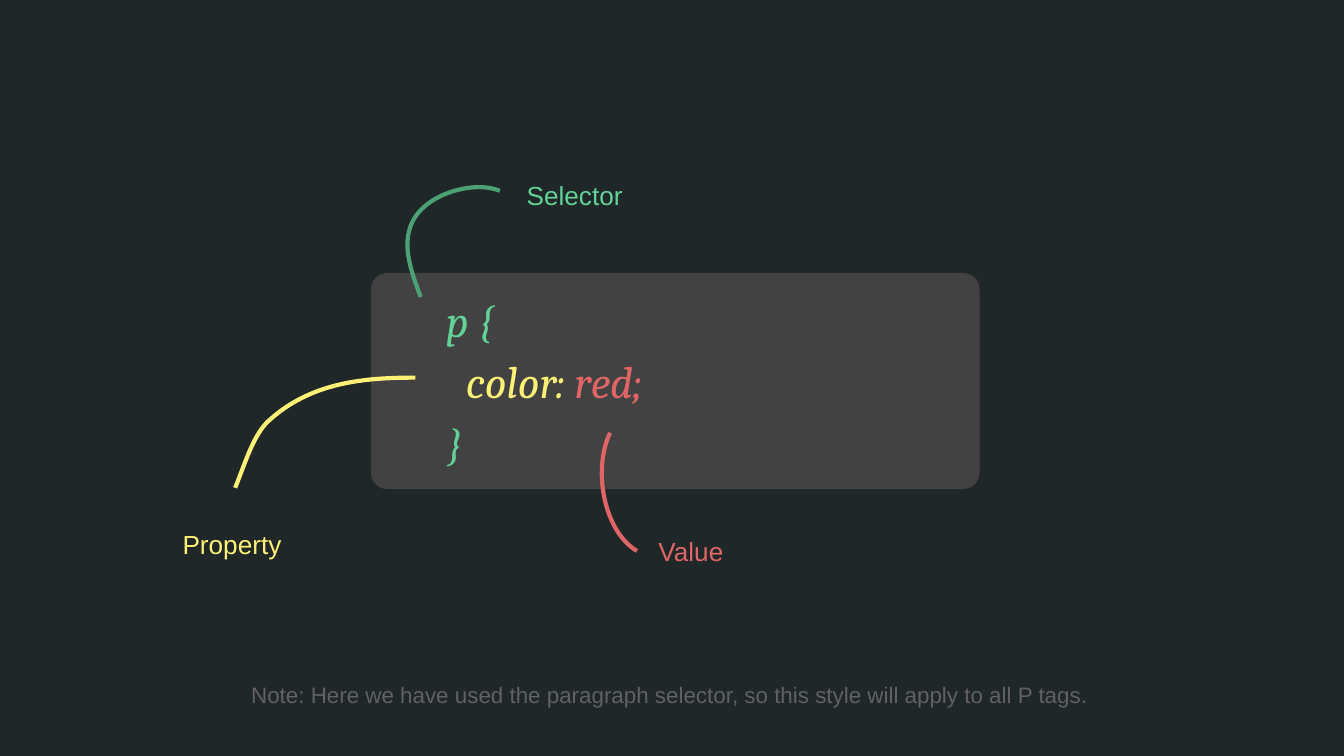
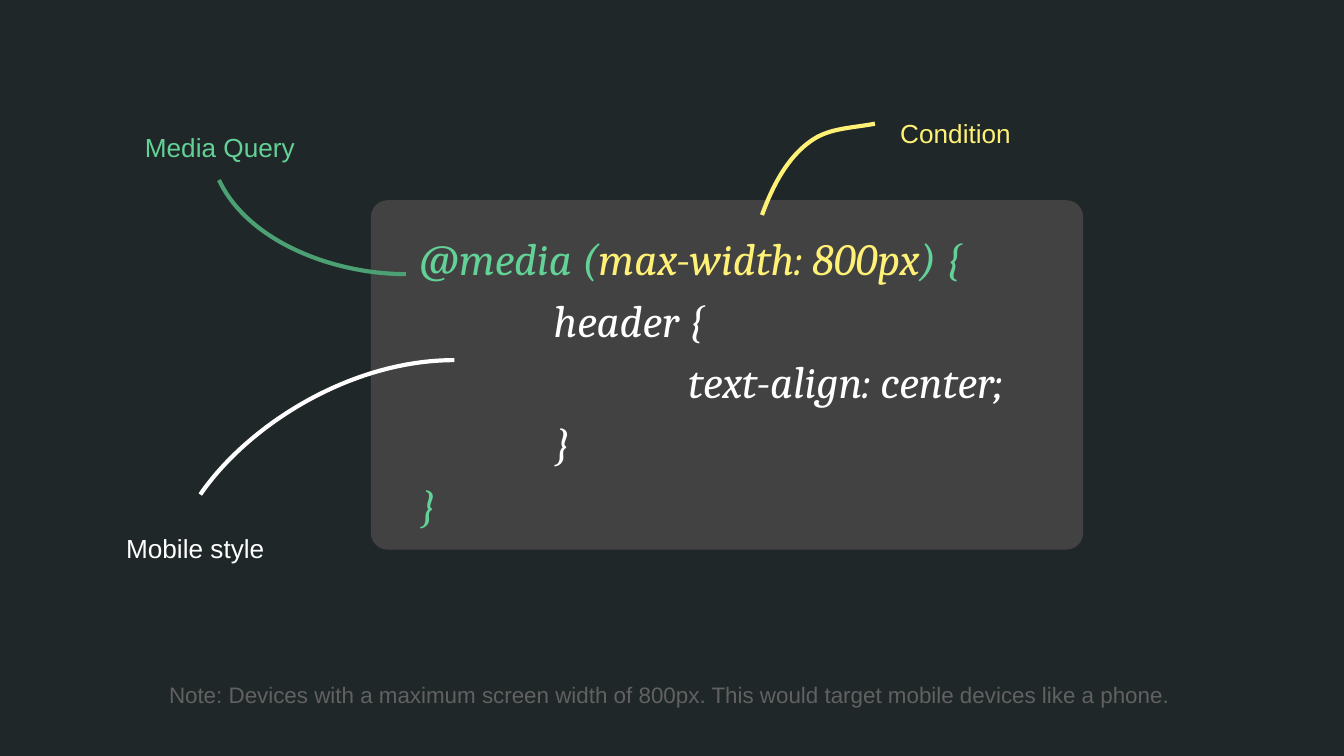
from dataclasses import dataclass
from typing import NamedTuple

from lxml import etree
from pptx import Presentation
from pptx import util as u
from pptx.dml.color import RGBColor
from pptx.enum import shapes, text
from pptx.oxml.ns import qn

# Grid: 100 columns across the slide, square cells
SLIDE_W, SLIDE_H = u.Inches(10), u.Inches(5.625)
CELL = SLIDE_W // 100
TITLE_ONLY = 5


@dataclass(frozen=True)
class Theme:
    background: str = "202729"
    panel: str = "424242"
    green: str = "63D297"
    deep_green: str = "4BA173"
    yellow: str = "FFF176"
    red: str = "E06666"
    white: str = "FFFFFF"
    grey: str = "616161"
    code_font: str = "Cambria"
    label_font: str = "Arial"
    code_size: int = 24
    label_size: int = 14
    note_size: int = 12
    pointer_width: float = 2.25
    line_spacing: float = 1.15


THEME = Theme()


class Box(NamedTuple):
    """Left, top, width and height in grid cells."""
    left: float
    top: float
    width: float
    height: float


class Token(NamedTuple):
    code: str
    color: str


class Label(NamedTuple):
    words: str
    box: Box
    color: str


class Pointer(NamedTuple):
    """Start point, then cubic Bézier points in threes."""
    color: str
    points: list[tuple[float, float]]


@dataclass(frozen=True)
class SyntaxSlide:
    panel: Box
    code_left: float
    code: list[list[Token]]
    labels: list[Label]
    pointers: list[Pointer]
    note: str


# Places shared by both slides
RIGHT_EDGE = 95.7
CODE_TOP, CODE_HEIGHT = 5.8, 44.5
NOTE_BOX = Box(4, 49.4, RIGHT_EDGE - 4, 4.4)
CORNER = 1.25
TAB_STEP = 10

SLIDES = [
    SyntaxSlide(
        panel=Box(27.6, 20.3, 45.3, 16.1),
        code_left=32.2,
        code=[
            [Token("p {", THEME.green)],
            [Token("  ", THEME.green), Token("color: ", THEME.yellow),
             Token("red;", THEME.red)],
            [Token("}", THEME.green)],
        ],
        labels=[
            Label("Selector", Box(38.2, 12, 33.4, 6.2), THEME.green),
            Label("Property", Box(12.6, 38, 12.5, 5.6), THEME.yellow),
            Label("Value", Box(48, 38.5, 12.5, 5.6), THEME.red),
        ],
        pointers=[
            Pointer(THEME.deep_green, [
                (31.3, 22.1), (30.7, 20.4), (29.8, 18.3), (30.7, 16.5),
                (31.7, 14.4), (35.3, 13.4), (37.2, 14.2)]),
            Pointer(THEME.yellow, [
                (17.5, 36.3), (18.2, 34.6), (18.8, 32.5), (19.9, 31.4),
                (23.1, 28.4), (27.2, 28.1), (30.9, 28.1)]),
            Pointer(THEME.red, [
                (47.4, 41), (44.9, 39.5), (44.1, 34.9), (45.4, 32.2)]),
        ],
        note="Note: Here we have used the paragraph selector, "
             "so this style will apply to all P tags.",
    ),
    SyntaxSlide(
        panel=Box(27.6, 14.9, 53, 26),
        code_left=30.2,
        code=[
            [Token("@media (", THEME.green),
             Token("max-width: 800px", THEME.yellow),
             Token(") {", THEME.green)],
            [Token("\theader {", THEME.white)],
            [Token("\t\ttext-align: center;", THEME.white)],
            [Token("\t}", THEME.white)],
            [Token("}", THEME.green)],
        ],
        labels=[
            Label("Media Query", Box(9.8, 8.4, 15.6, 4.4), THEME.green),
            Label("Mobile style", Box(8.4, 38.3, 15.6, 4.4), THEME.white),
            Label("Condition", Box(66, 7.4, 15.6, 4.4), THEME.yellow),
        ],
        pointers=[
            Pointer(THEME.white, [
                (14.9, 36.8), (18.4, 31.7), (26, 26.8), (33.8, 26.8)]),
            Pointer(THEME.deep_green, [
                (30.2, 20.4), (24.7, 20.4), (18.4, 17.9), (16.3, 13.4)]),
            Pointer(THEME.yellow, [
                (56.7, 16), (57.5, 13.8), (58.7, 11.4), (60.8, 10.2),
                (62.1, 9.5), (63.6, 9.5), (65.1, 9.2)]),
        ],
        note="Note: Devices with a maximum screen width of 800px. "
             "This would target mobile devices like a phone.",
    ),
]


def cells(count: float) -> int:
    return round(count * CELL)


def rgb(color: str) -> RGBColor:
    return RGBColor.from_string(color)


def style_font(font, name: str, size: int, color: str, italic: bool = False) -> None:
    font.name, font.size, font.italic = name, u.Pt(size), italic
    font.color.rgb = rgb(color)


def prepare_frame(frame) -> None:
    frame.word_wrap = True
    frame.auto_size = text.MSO_AUTO_SIZE.NONE
    frame.margin_left = frame.margin_right = cells(1)
    frame.margin_top = frame.margin_bottom = cells(1)


def add_panel(slide, box: Box) -> None:
    panel = slide.shapes.add_shape(
        shapes.MSO_SHAPE.ROUNDED_RECTANGLE, *map(cells, box))
    panel.adjustments[0] = CORNER / box.height
    panel.shadow.inherit = False
    panel.fill.solid()
    panel.fill.fore_color.rgb = rgb(THEME.panel)
    panel.line.fill.background()
    # The panel lies behind the code
    slide.shapes.title._element.addprevious(panel._element)


def add_tab_stops(paragraph, count: int) -> None:
    tabs = etree.SubElement(paragraph._p.get_or_add_pPr(), qn("a:tabLst"))
    for stop in range(1, count + 1):
        etree.SubElement(tabs, qn("a:tab"), pos=str(cells(stop * TAB_STEP)), algn="l")


def fill_code(title, left: float, code: list[list[Token]]) -> None:
    title.left, title.top = cells(left), cells(CODE_TOP)
    title.width, title.height = cells(RIGHT_EDGE - left), cells(CODE_HEIGHT)
    frame = title.text_frame
    prepare_frame(frame)
    frame.vertical_anchor = text.MSO_ANCHOR.MIDDLE
    for index, tokens in enumerate(code):
        line = frame.add_paragraph() if index else frame.paragraphs[0]
        line.alignment = text.PP_ALIGN.LEFT
        line.line_spacing = THEME.line_spacing
        tab_count = tokens[0].code.count("\t")
        if tab_count:
            add_tab_stops(line, tab_count)
        for token in tokens:
            run = line.add_run()
            run.text = token.code
            style_font(run.font, THEME.code_font, THEME.code_size, token.color, True)


def add_label(slide, label: Label, size: int = THEME.label_size,
              align=text.PP_ALIGN.LEFT) -> None:
    frame = slide.shapes.add_textbox(*map(cells, label.box)).text_frame
    prepare_frame(frame)
    frame.text = label.words
    line = frame.paragraphs[0]
    line.alignment, line.line_spacing = align, THEME.line_spacing
    style_font(line.runs[0].font, THEME.label_font, size, label.color)


def add_pointer(slide, pointer: Pointer) -> None:
    start, *rest = [(cells(x), cells(y)) for x, y in pointer.points]
    builder = slide.shapes.build_freeform(*start)
    builder.add_line_segments(rest, close=False)
    curve = builder.convert_to_shape()
    curve.shadow.inherit = False
    curve.fill.background()
    curve.line.color.rgb = rgb(pointer.color)
    curve.line.width = u.Pt(THEME.pointer_width)
    # Join every three line steps into one cubic curve
    steps = list(curve._element.iter(qn("a:lnTo")))
    for first in range(0, len(steps), 3):
        bezier = etree.Element(qn("a:cubicBezTo"))
        steps[first].addprevious(bezier)
        for step in steps[first:first + 3]:
            bezier.append(step[0])
            step.getparent().remove(step)


def build_slide(prs, content: SyntaxSlide) -> None:
    slide = prs.slides.add_slide(prs.slide_layouts[TITLE_ONLY])
    add_panel(slide, content.panel)
    fill_code(slide.shapes.title, content.code_left, content.code)
    for label in content.labels:
        add_label(slide, label)
    add_label(slide, Label(content.note, NOTE_BOX, THEME.grey),
              THEME.note_size, text.PP_ALIGN.CENTER)
    for pointer in content.pointers:
        add_pointer(slide, pointer)


def main() -> None:
    prs = Presentation()
    prs.slide_width, prs.slide_height = SLIDE_W, SLIDE_H
    backdrop = prs.slide_master.background.fill
    backdrop.solid()
    backdrop.fore_color.rgb = rgb(THEME.background)
    for content in SLIDES:
        build_slide(prs, content)
    prs.save("out.pptx")


if __name__ == "__main__":
    main()
